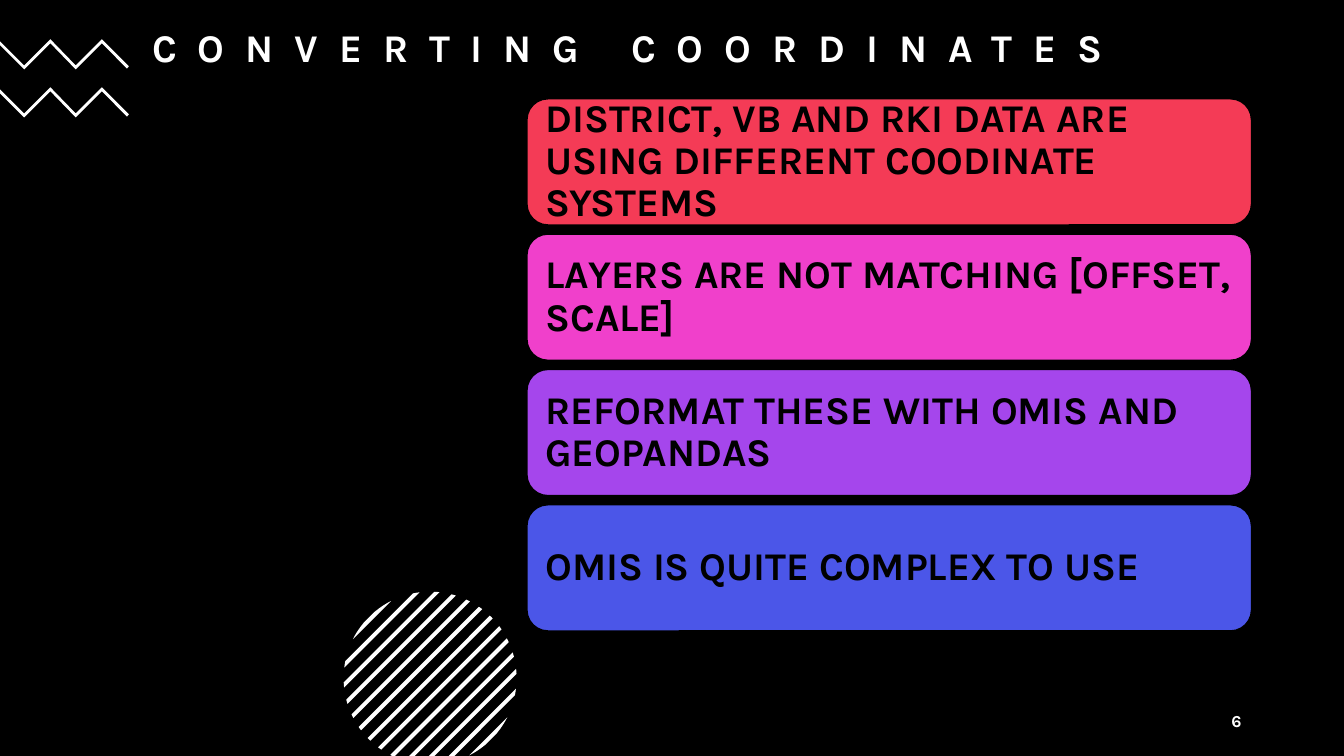
from math import sqrt

from pptx import Presentation
from pptx.dml.color import RGBColor
from pptx.enum.shapes import MSO_SHAPE as Shape
from pptx.enum.text import MSO_ANCHOR as Anchor, MSO_AUTO_SIZE as Fit, PP_ALIGN as Align
from pptx.util import Cm, Pt

BLACK = RGBColor(0x00, 0x00, 0x00)
WHITE = RGBColor(0xFF, 0xFF, 0xFF)
RED = RGBColor(0xF4, 0x3B, 0x56)
PINK = RGBColor(0xF0, 0x40, 0xCB)
PURPLE = RGBColor(0xA5, 0x46, 0xEC)
BLUE = RGBColor(0x4B, 0x56, 0xE8)

FONT = "Karla"
WIDE, HIGH = 33.87, 19.05
CARDS = [
    (RED, "DISTRICT, VB AND RKI DATA ARE USING DIFFERENT COODINATE SYSTEMS"),
    (PINK, "LAYERS ARE NOT MATCHING [OFFSET, SCALE]"),
    (PURPLE, "REFORMAT THESE WITH OMIS AND GEOPANDAS"),
    (BLUE, "OMIS IS QUITE COMPLEX TO USE"),
]


def write(shape, text, size, color, align=Align.LEFT, space=0, lead=0.9):
    """Fill a shape with one bold line of text; space is tracking in points."""
    frame = shape.text_frame
    frame.word_wrap = True
    frame.auto_size = Fit.NONE
    frame.vertical_anchor = Anchor.MIDDLE
    frame.text = text
    para = frame.paragraphs[0]
    para.alignment = align
    para.line_spacing = lead
    font = para.font
    font.name, font.size, font.bold = FONT, Pt(size), True
    font.color.rgb = color
    if space:
        para.runs[0].font._element.set("spc", str(space * 100))


def outline(shapes, points):
    """Draw a closed white shape through points given in centimetres."""
    first, *rest = [(Cm(x), Cm(y)) for x, y in points]
    path = shapes.build_freeform(*first)
    path.add_line_segments(rest, close=True)
    shape = path.convert_to_shape()
    shape.fill.solid()
    shape.fill.fore_color.rgb = WHITE
    shape.line.fill.background()
    shape.shadow.inherit = False


def add_title(slide, left, top, width, height):
    title = slide.shapes.title
    title.left, title.top = Cm(left), Cm(top)
    title.width, title.height = Cm(width), Cm(height)
    write(title, "CONVERTING COORDINATES", 28, WHITE, space=15)


def add_waves(slide, left, top, gap):
    upper = [(0, 0.05), (0.61, 0.66), (1.27, 0), (1.91, 0.66), (2.57, 0), (3.25, 0.68)]
    lower = [(x, y + 0.1) for x, y in upper[:-1]] + [(3.2, 0.74)]
    for row in range(2):
        outline(slide.shapes, [(left + x, top + row * gap + y)
                               for x, y in upper + lower[::-1]])


def add_disc(slide, mid_x, mid_y, radius, pitch=0.5, thick=0.14, steps=6):
    """Fill a circle with diagonal stripes, cut off at the slide's bottom."""
    shapes = slide.shapes.add_group_shape().shapes
    limit = radius * sqrt(2)
    for band in range(-6, 7):
        start = max(band * pitch - thick / 2, -limit)
        stop = min(band * pitch + thick / 2, limit)
        right, left = [], []
        for step in range(steps + 1):
            shift = start + (stop - start) * step / steps
            half = sqrt(max(radius ** 2 - shift ** 2 / 2, 0) / 2)
            x, y = mid_x + shift / 2, mid_y + shift / 2
            over = max(y + half - HIGH, 0)
            right.append((x + half, y - half))
            left.append((x - half + over, y + half - over))
        outline(shapes, right + left[::-1])


def add_cards(slide, left, top, width, height, pitch):
    for row, (color, text) in enumerate(CARDS):
        card = slide.shapes.add_shape(Shape.ROUNDED_RECTANGLE, Cm(left),
                                      Cm(top + row * pitch), Cm(width), Cm(height))
        card.shadow.inherit = False
        card.fill.solid()
        card.fill.fore_color.rgb = color
        card.line.color.rgb = BLACK
        card.line.width = Pt(1)
        frame = card.text_frame
        # The round corners already inset the text by 0.15 cm.
        frame.margin_left = frame.margin_right = Cm(0.31)
        frame.margin_top = frame.margin_bottom = 0
        write(card, text, 28, BLACK)


def add_number(slide, left, top, width, height):
    box = slide.shapes.add_textbox(Cm(left), Cm(top), Cm(width), Cm(height))
    write(box, "6", 12, WHITE, Align.RIGHT, space=1, lead=1.0)


def main():
    deck = Presentation()
    deck.slide_width, deck.slide_height = Cm(WIDE), Cm(HIGH)
    slide = deck.slides.add_slide(deck.slide_layouts[5])
    slide.background.fill.solid()
    slide.background.fill.fore_color.rgb = BLACK
    add_disc(slide, 10.84, 17.09, 2.18)
    add_title(slide, 3.58, 0.25, 28.09, 2)
    add_waves(slide, 0, 0.99, 1.21)
    add_cards(slide, 13.28, 2.49, 18.26, 3.18, 3.41)
    add_number(slide, 23.92, 17.65, 7.62, 1.02)
    deck.save("out.pptx")


if __name__ == "__main__":
    main()
